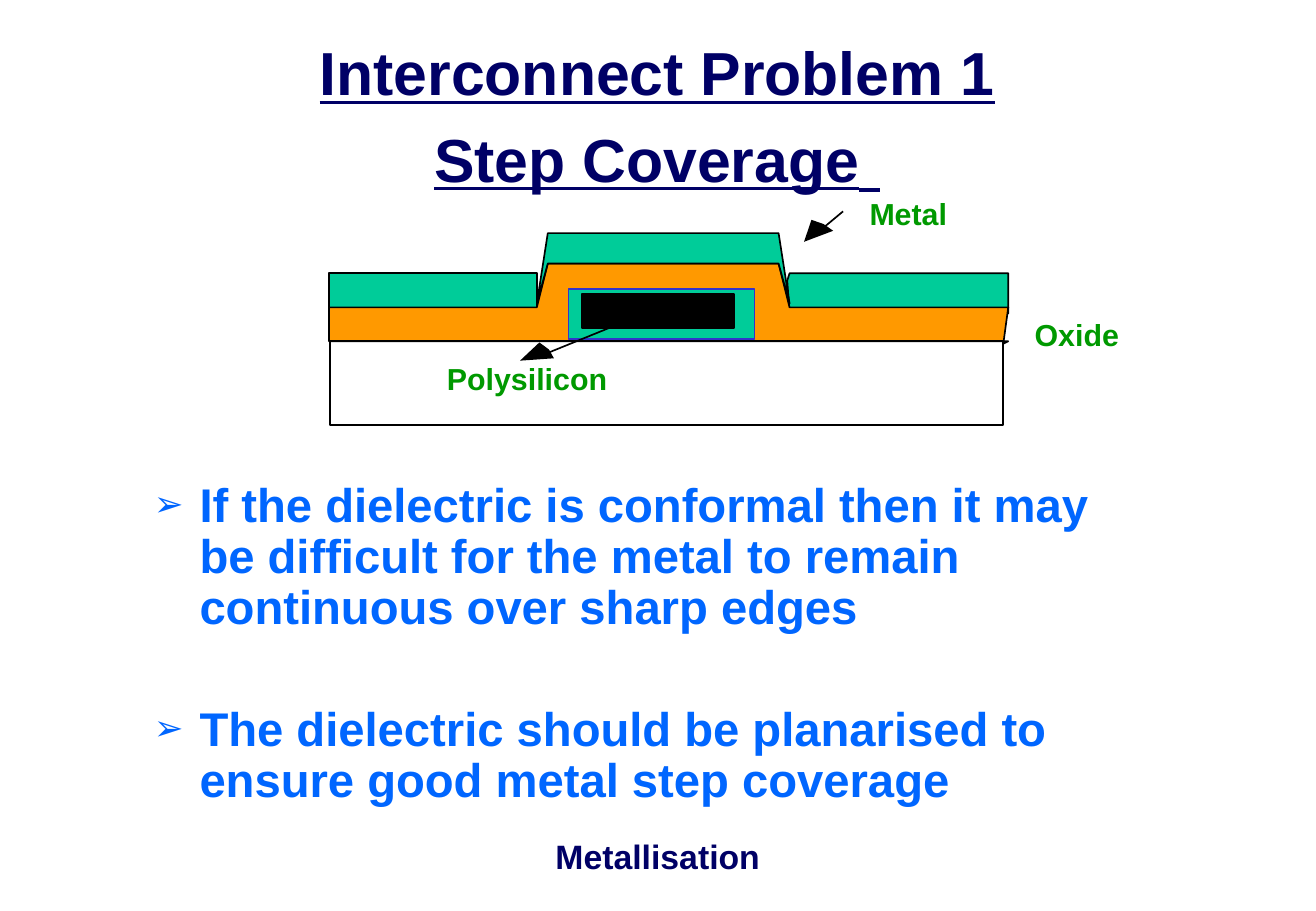
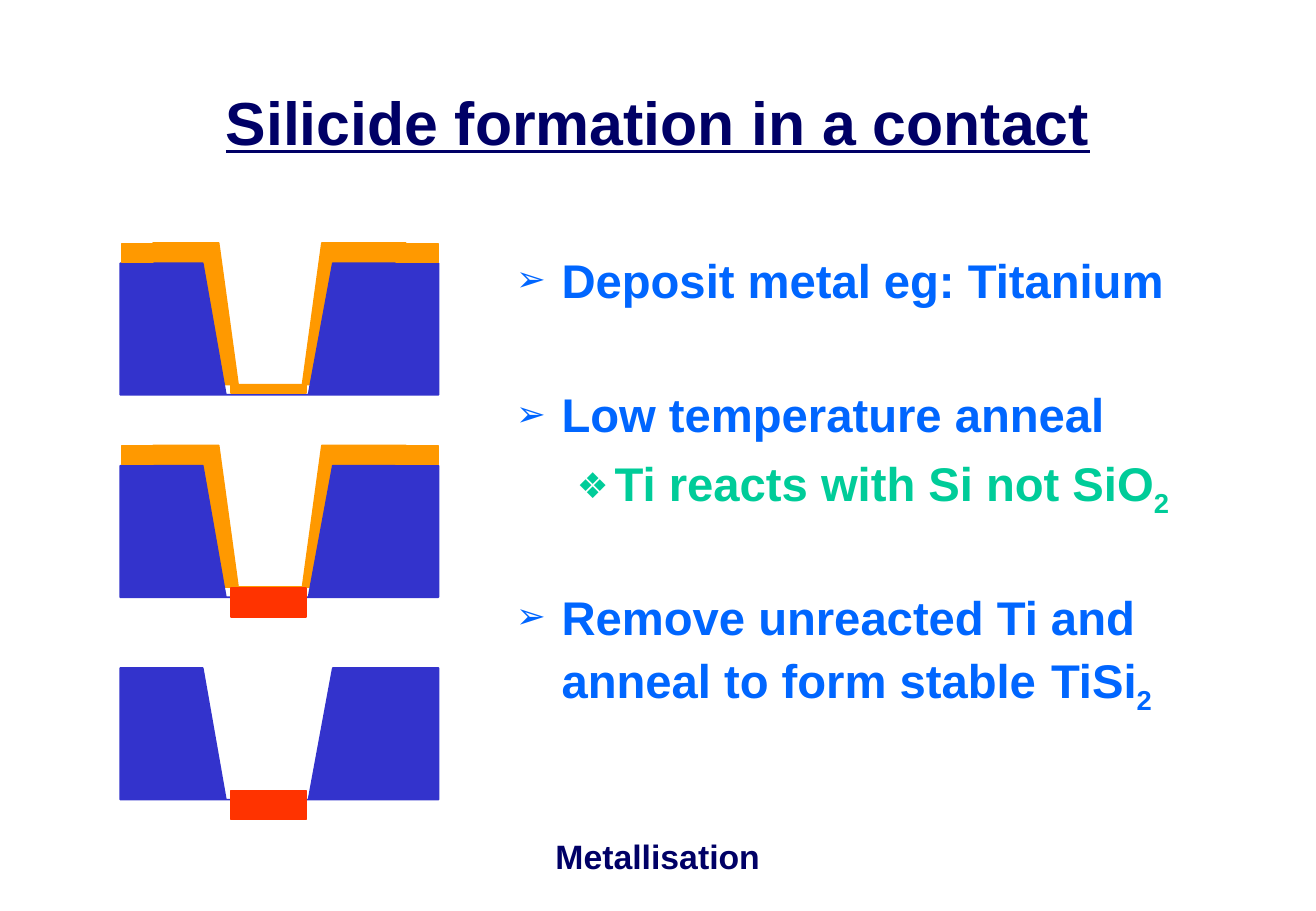
import pptx
import pptx.util
import pptx.dml.color
import pptx.enum.shapes
import pptx.enum.text
import pptx.oxml
import pptx.oxml.ns

Pt = pptx.util.Pt
ALIGN = pptx.enum.text.PP_ALIGN
ANCHOR = pptx.enum.text.MSO_ANCHOR

# Shared look
NAVY, BLUE, TEAL, GREEN = "000066", "0066FF", "00CC99", "009900"
ORANGE, INDIGO, RED, BLACK = "FF9900", "3333CC", "FF3300", "000000"
FONT = {"name": "Arial", "bold": True}
TITLE_FONT = {**FONT, "size": Pt(36), "underline": True}
BODY_FONT = {**FONT, "size": Pt(28)}
LABEL_FONT = {**FONT, "size": Pt(18)}
FOOTER_FONT = {**FONT, "size": Pt(20)}
FOOTER = ("Metallisation", (266.4, 491.8, 247, 36))

# Bullet levels: character, colour, left margin, hanging indent
LEVELS = [("➢", BLUE, 27, 27), ("❖", TEAL, 58.5, 22.5)]

# Slide 1: a run is (text, format changes); a bullet is (level, space before, runs)
STEP_TITLE = [("Interconnect Problem 1\vStep Coverage", {}),
              (" ", {"size": Pt(44), "bold": False})]
STEP_BULLETS = [
    (0, 0, [("If the dielectric is conformal then it may be difficult for the metal "
             "to remain continuous over sharp edges", {})]),
    (0, 42, [("The dielectric should be planarised to ensure good metal step coverage", {})]),
]
METAL_RIGHT = [(597.6, 185.8), (597.6, 162), (468, 162), (466.6, 166.3), (468, 185.8)]
METAL_LEFT = [(195, 162), (318.2, 162), (318.2, 185.8), (195, 185.8)]
OXIDE_LAYER = [(195, 182.2), (195, 202.3), (597.6, 202.3), (594.7, 203.8), (597.6, 182.2),
               (468, 182.2), (461.5, 156.2), (324.7, 156.2), (318.2, 182.2)]
METAL_TOP = [(318.2, 180), (324.7, 138.2), (461.5, 138.2), (468, 180),
             (461.5, 156.2), (324.7, 156.2)]
LAYERS = [(METAL_RIGHT, TEAL), (METAL_LEFT, TEAL), (OXIDE_LAYER, ORANGE)]
BLOCKS = [  # box, fill, line
    ((195.8, 202.3, 398.9, 49.7), None, BLACK),
    ((337, 171.4, 110.2, 29.5), TEAL, INDIGO),
    ((344.9, 174.2, 90, 20.2), BLACK, BLACK),
]
POINTERS = [  # line start, line end, arrowhead outline
    ((366.5, 192.2), (316.8, 212.4),
     [(319.7, 203), (325.4, 207.2), (328.3, 212.4), (308.2, 213.8)]),
    ((499.7, 125.3), (482.4, 139.7),
     [(481, 130.3), (488.2, 132.8), (493.9, 136.8), (476.6, 143.3)]),
]
LABELS = [("Oxide", (606.2, 183.6, 64.8, 28.8)),
          ("Polysilicon", (257.8, 210.2, 109.4, 28.8)),
          ("Metal", (508.3, 112.3, 60.5, 28.8))]

# Slide 2
SUBSCRIPT = ("2", {"baseline": -25000})
CONTACT_TITLE = [("Silicide formation in a contact", {})]
CONTACT_BULLETS = [
    (0, 0, [("Deposit metal eg: Titanium", {})]),
    (0, 46, [("Low temperature anneal", {})]),
    (1, 7, [("Ti reacts with Si not SiO", {}), SUBSCRIPT]),
    (0, 41, [("Remove unreacted Ti and anneal to form stable", {}),
             (" ", {"size": Pt(32)}), ("TiSi", {}), SUBSCRIPT]),
]
# Contact cross-section: six x values, top and bottom relative to the stage
FILM = ((90.7, 129.6, 141.1, 179.3, 190.8, 240.5), 0, 84)
OXIDE_WALLS = ((71.3, 120.2, 133.9, 182.9, 197.3, 259.9), 12, 90)
FILM_CAPS = [(234.7, 0.5, 25.2, 10.8), (72, 0.5, 18.7, 10.8)]
FILM_FLOOR = (136.8, 84.2, 44.6, 5)
SILICIDE = (136.8, 84.6, 44.6, 17.3)
STAGE_TOP, STAGE_STEP = 144, 120
STAGES = [  # film present, floor box, floor colour
    (True, FILM_FLOOR, ORANGE),
    (True, SILICIDE, RED),
    (False, SILICIDE, RED),
]


def rgb(color):
    return pptx.dml.color.RGBColor.from_string(color)


def apply(target, values):
    for name, value in values.items():
        setattr(target, name, value)


def place(shape, box):
    apply(shape, dict(zip(("left", "top", "width", "height"), map(Pt, box))))


def paint(shape, fill, line):
    shape.shadow.inherit = False
    if fill:
        shape.fill.solid()
        shape.fill.fore_color.rgb = rgb(fill)
    else:
        shape.fill.background()
    if line:
        shape.line.color.rgb = rgb(line)
        shape.line.width = Pt(1)
    else:
        shape.line.fill.background()


def add_runs(paragraph, runs, font_format, color):
    for text, changes in runs:
        values = {**font_format, **changes}
        baseline = values.pop("baseline", None)
        for index, line in enumerate(text.split("\v")):
            if index:
                paragraph.add_line_break()
            run = paragraph.add_run()
            run.text = line
            apply(run.font, values)
            run.font.color.rgb = rgb(color)
            if baseline:
                run._r.get_or_add_rPr().set("baseline", str(baseline))


def add_text(slide, text, box, font_format, color, align=ALIGN.LEFT, wrap=True):
    shape = slide.shapes.add_textbox(*map(Pt, box))
    shape.text_frame.word_wrap = wrap
    paragraph = shape.text_frame.paragraphs[0]
    paragraph.alignment = align
    add_runs(paragraph, [(text, {})], font_format, color)


def add_bullets(slide, box, bullets, line_spacing):
    frame = slide.shapes.add_textbox(*map(Pt, box)).text_frame
    frame.word_wrap = True
    for index, (level, space_before, runs) in enumerate(bullets):
        paragraph = frame.add_paragraph() if index else frame.paragraphs[0]
        character, color, margin, hanging = LEVELS[level]
        properties = paragraph._p.get_or_add_pPr()
        properties.set("marL", str(Pt(margin)))
        properties.set("indent", str(-Pt(hanging)))
        namespace = pptx.oxml.ns.nsdecls("a")
        for element in (f'<a:buClr {namespace}><a:srgbClr val="{color}"/></a:buClr>',
                        f'<a:buSzPct {namespace} val="75000"/>',
                        f'<a:buFont {namespace} typeface="Arial"/>',
                        f'<a:buChar {namespace} char="{character}"/>'):
            properties.append(pptx.oxml.parse_xml(element))
        apply(paragraph, {"level": level, "line_spacing": line_spacing,
                          "space_before": Pt(space_before), "space_after": Pt(0)})
        add_runs(paragraph, runs, BODY_FONT, color)


def add_outline(slide, points, fill, line):
    corners = [(Pt(x), Pt(y)) for x, y in points]
    builder = slide.shapes.build_freeform(*corners[0])
    builder.add_line_segments(corners[1:], close=True)
    paint(builder.convert_to_shape(), fill, line)


def add_block(slide, box, fill, line):
    rectangle = pptx.enum.shapes.MSO_SHAPE.RECTANGLE
    paint(slide.shapes.add_shape(rectangle, *map(Pt, box)), fill, line)


def add_line(slide, start, end):
    straight = pptx.enum.shapes.MSO_CONNECTOR.STRAIGHT
    connector = slide.shapes.add_connector(straight, *map(Pt, start + end))
    connector.line.color.rgb = rgb(BLACK)
    connector.line.width = Pt(1)
    effects = f'<a:effectLst {pptx.oxml.ns.nsdecls("a")}/>'
    connector._element.spPr.append(pptx.oxml.parse_xml(effects))


def new_slide(presentation, title_runs, title_box):
    slide = presentation.slides.add_slide(presentation.slide_layouts[5])
    title = slide.shapes.title
    place(title, title_box)
    apply(title.text_frame, {"word_wrap": True, "vertical_anchor": ANCHOR.MIDDLE,
                             "auto_size": pptx.enum.text.MSO_AUTO_SIZE.NONE})
    paragraph = title.text_frame.paragraphs[0]
    paragraph.alignment = ALIGN.CENTER
    add_runs(paragraph, title_runs, TITLE_FONT, NAVY)
    add_text(slide, *FOOTER, FOOTER_FONT, NAVY, ALIGN.CENTER)
    return slide


def trench(profile, stage_top):
    columns, top, bottom = profile
    heights = (top, top, bottom, bottom, top, top)
    points = list(zip(columns, heights)) + [(columns[-1], bottom), (columns[0], bottom)]
    return [(x, stage_top + y) for x, y in points]


def build_step_coverage(presentation):
    slide = new_slide(presentation, STEP_TITLE, (58.3, 23.8, 662.4, 90))
    add_bullets(slide, (84.2, 282.2, 604, 216), STEP_BULLETS, 0.9)
    for points, fill in LAYERS:
        add_outline(slide, points, fill, BLACK)
    for block in BLOCKS:
        add_block(slide, *block)
    for start, end, head in POINTERS:
        add_outline(slide, head, BLACK, None)
        add_line(slide, start, end)
    add_outline(slide, METAL_TOP, TEAL, BLACK)
    for text, box in LABELS:
        add_text(slide, text, box, LABEL_FONT, GREEN, wrap=False)


def build_silicide(presentation):
    slide = new_slide(presentation, CONTACT_TITLE, (32.4, 26.6, 715, 90))
    add_bullets(slide, (298.8, 145.4, 440, 318.2), CONTACT_BULLETS, 1.0)
    for index, (has_film, floor, floor_color) in enumerate(STAGES):
        top = STAGE_TOP + index * STAGE_STEP
        if has_film:
            add_outline(slide, trench(FILM, top), ORANGE, ORANGE)
        add_outline(slide, trench(OXIDE_WALLS, top), INDIGO, INDIGO)
        parts = [(floor, floor_color)]
        if has_film:
            parts += [(cap, ORANGE) for cap in FILM_CAPS]
        for (left, offset, width, height), color in parts:
            add_block(slide, (left, top + offset, width, height), color, color)


def main():
    presentation = pptx.Presentation()
    apply(presentation, {"slide_width": Pt(780), "slide_height": Pt(540)})
    build_step_coverage(presentation)
    build_silicide(presentation)
    presentation.save("out.pptx")


if __name__ == "__main__":
    main()
